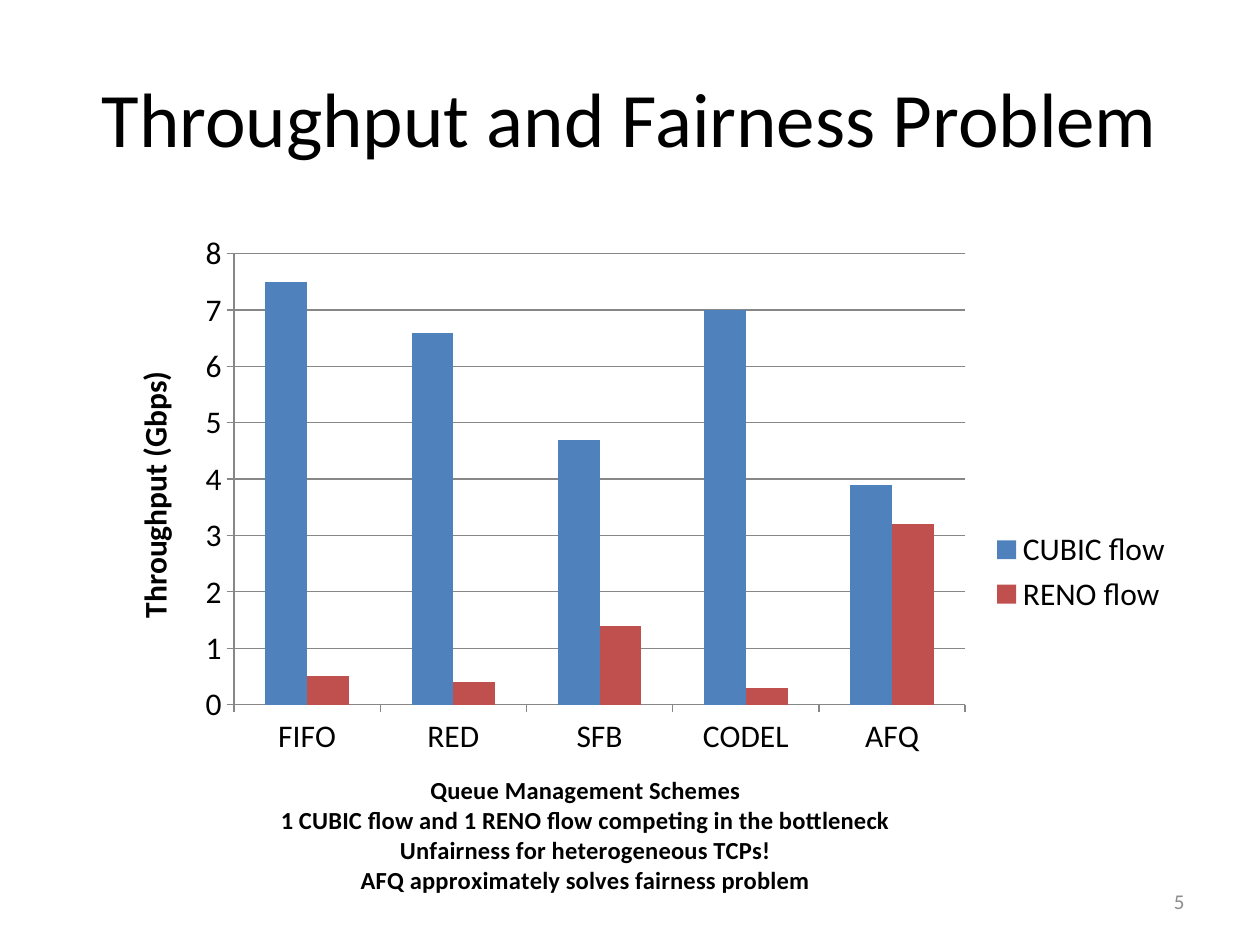
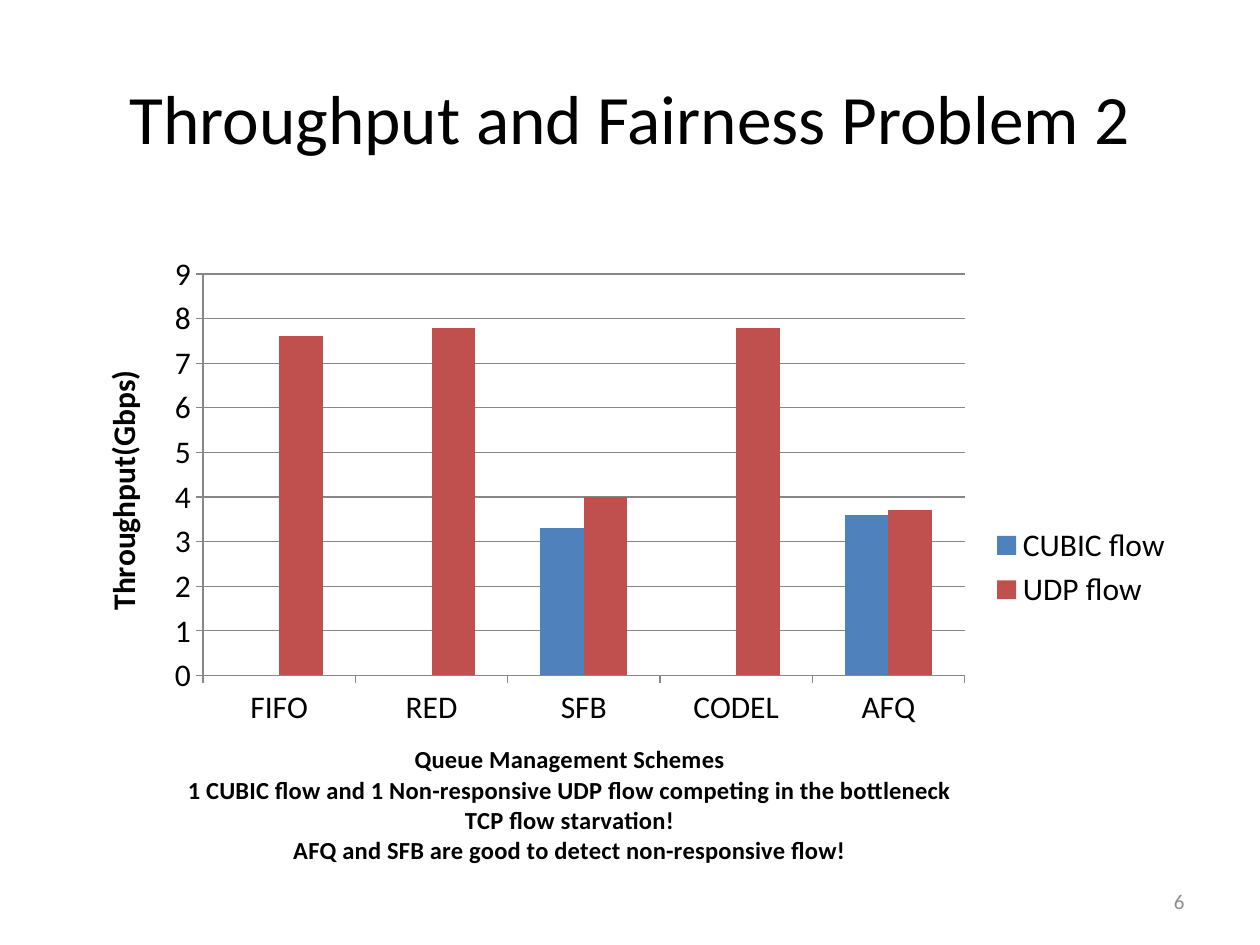
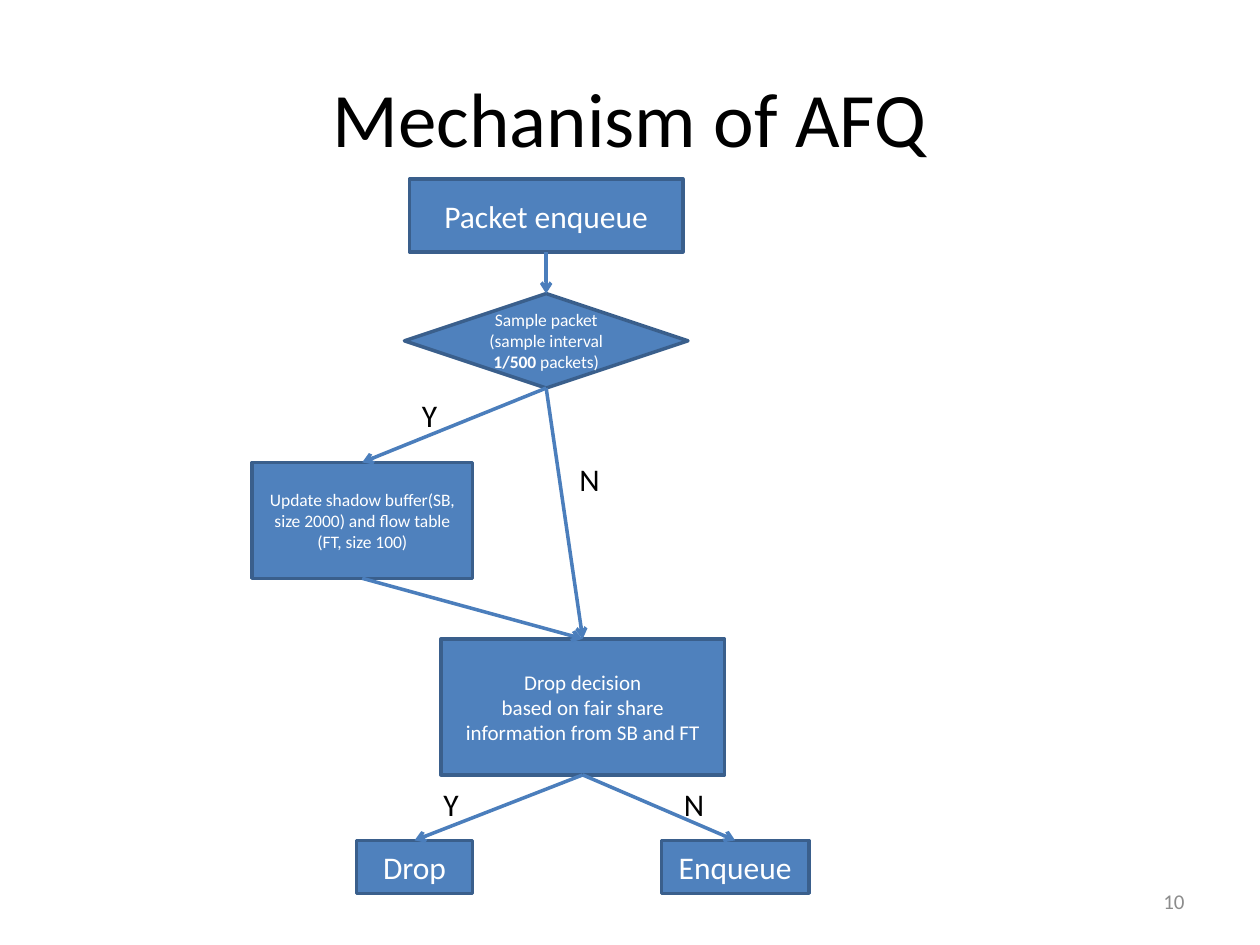
from dataclasses import dataclass
from typing import Any

from lxml import etree
from pptx import Presentation
from pptx import util as u
from pptx.chart import data as cd
from pptx.dml import color as col
from pptx.enum import chart as ec
from pptx.enum import shapes as es
from pptx.enum import text as et
from pptx.oxml import ns


@dataclass(frozen=True)
class Theme:
    face: str = "Calibri"
    ink: str = "000000"
    paper: str = "FFFFFF"
    blue: str = "4F81BD"
    red: str = "C0504D"
    edge: str = "3A5F8C"
    arrow: str = "4B7EBC"
    rule: str = "878787"
    muted: str = "8C8C8C"
    title: float = 44
    body: float = 18
    note: float = 14
    small: float = 12
    tiny: float = 10
    stroke: float = 2
    hair: float = 0.75


Box = tuple[float, float, float, float]
Run = tuple[str, bool]


@dataclass(frozen=True)
class Plot:
    box: Box
    flows: dict[str, list[float]]
    top: int
    label: str
    notes: list[str]


@dataclass(frozen=True)
class Node:
    name: str
    box: Box
    lines: list[list[Run]]
    size: float
    kind: Any = es.MSO_SHAPE.RECTANGLE


@dataclass(frozen=True)
class Mark:
    text: str
    left: float
    top: float


T = Theme()
ALIGN = et.PP_ALIGN
CATS = ["FIFO", "RED", "SFB", "CODEL", "AFQ"]
TOP, BOTTOM = 0, 2


def rgb(code: str) -> col.RGBColor:
    return col.RGBColor.from_string(code)


def place(box: Box) -> list[u.Length]:
    return [u.Inches(n) for n in box]


def style(font: Any, size: float, color: str = T.ink, bold: bool | None = None) -> None:
    font.name = T.face
    font.size = u.Pt(size)
    font.color.rgb = rgb(color)
    font.bold = bold


def stroke(line: Any, color: str, width: float) -> None:
    line.color.rgb = rgb(color)
    line.width = u.Pt(width)


def write(shape: Any, value: str, size: float, color: str, align: Any) -> None:
    frame = shape.text_frame
    frame.word_wrap = True
    frame.text = value
    para = frame.paragraphs[0]
    para.alignment = align
    style(para.font, size, color)


def start(deck: Any, title: str, page: int, size: float = T.title) -> Any:
    slide = deck.slides.add_slide(deck.slide_layouts[5])
    head = slide.shapes.title
    head.left, head.top, head.width, head.height = place((0.5, 0.3, 9, 1.25))
    write(head, title, size, T.ink, ALIGN.CENTER)
    foot = slide.shapes.add_textbox(*place((7.17, 6.95, 2.33, 0.4)))
    write(foot, str(page), T.small, T.muted, ALIGN.RIGHT)
    foot.text_frame.vertical_anchor = et.MSO_ANCHOR.MIDDLE
    return slide


def name_axis(axis: Any, lines: list[str], size: float) -> None:
    frame = axis.axis_title.text_frame
    frame.text = "\n".join(lines)
    for para in frame.paragraphs:
        style(para.font, size, bold=True)


def draw_plot(slide: Any, plot: Plot) -> None:
    data = cd.CategoryChartData()
    data.categories = CATS
    for name, vals in plot.flows.items():
        data.add_series(name, vals)
    chart = slide.shapes.add_chart(
        ec.XL_CHART_TYPE.COLUMN_CLUSTERED, *place(plot.box), data
    ).chart
    style(chart.font, T.body)
    chart.has_title = False
    chart.has_legend = True
    chart.legend.position = ec.XL_LEGEND_POSITION.RIGHT
    chart.legend.include_in_layout = False
    bars = chart.plots[0]
    bars.gap_width = 150
    bars.vary_by_categories = False
    for flow, color in zip(bars.series, (T.blue, T.red)):
        flow.format.fill.solid()
        flow.format.fill.fore_color.rgb = rgb(color)
    for axis in (chart.category_axis, chart.value_axis):
        axis.major_tick_mark = ec.XL_TICK_MARK.OUTSIDE
        stroke(axis.format.line, T.rule, T.hair)
    scale = chart.value_axis
    scale.minimum_scale, scale.maximum_scale, scale.major_unit = 0, plot.top, 1
    scale.has_major_gridlines = True
    stroke(scale.major_gridlines.format.line, T.rule, T.hair)
    name_axis(scale, [plot.label], T.body)
    name_axis(chart.category_axis, plot.notes, T.note)


def draw_node(slide: Any, node: Node) -> Any:
    shape = slide.shapes.add_shape(node.kind, *place(node.box))
    shape.shadow.inherit = False
    shape.fill.solid()
    shape.fill.fore_color.rgb = rgb(T.blue)
    stroke(shape.line, T.edge, T.stroke)
    frame = shape.text_frame
    frame.word_wrap = True
    frame.vertical_anchor = et.MSO_ANCHOR.MIDDLE
    for i, line in enumerate(node.lines):
        para = frame.add_paragraph() if i else frame.paragraphs[0]
        para.alignment = ALIGN.CENTER
        style(para.font, node.size, T.paper)
        for value, bold in line:
            run = para.add_run()
            run.text = value
            if bold:
                run.font.bold = True
    return shape


def join(slide: Any, head: Any, tail: Any) -> None:
    link = slide.shapes.add_connector(es.MSO_CONNECTOR.STRAIGHT, 0, 0, 0, 0)
    link.begin_connect(head, BOTTOM)
    link.end_connect(tail, TOP)
    stroke(link.line, T.arrow, T.stroke)
    etree.SubElement(link.line._get_or_add_ln(), ns.qn("a:tailEnd"), type="arrow")
    etree.SubElement(link._element.spPr, ns.qn("a:effectLst"))


def draw_mark(slide: Any, mark: Mark) -> None:
    box = slide.shapes.add_textbox(*place((mark.left, mark.top, 0.42, 0.4)))
    write(box, mark.text, T.body, T.ink, ALIGN.LEFT)


RENO = Plot(
    (0.83, 1.75, 8.58, 5.58),
    {"CUBIC flow": [7.5, 6.6, 4.7, 7, 3.9], "RENO flow": [0.5, 0.4, 1.4, 0.3, 3.2]},
    8,
    "Throughput (Gbps)",
    [
        "Queue Management Schemes",
        "1 CUBIC flow and 1 RENO flow competing in the bottleneck",
        "Unfairness for heterogeneous TCPs!",
        "AFQ approximately solves fairness problem",
    ],
)
UDP = Plot(
    (0.58, 1.92, 8.83, 5.17),
    {"CUBIC flow": [0, 0, 3.3, 0, 3.6], "UDP flow": [7.6, 7.8, 4, 7.8, 3.7]},
    9,
    "Throughput(Gbps)",
    [
        "Queue Management Schemes",
        "1 CUBIC flow and 1 Non-responsive UDP flow competing in the bottleneck",
        "TCP flow starvation!",
        "AFQ and SFB are good to detect non-responsive flow!",
    ],
)
NODES = [
    Node("packet", (3.25, 1.42, 2.17, 0.58), [[("Packet enqueue", False)]], T.body),
    Node(
        "sample",
        (3.21, 2.33, 2.25, 0.75),
        [
            [("Sample packet", False)],
            [("(sample interval ", False), ("1/500", True), (" packets)", False)],
        ],
        T.tiny,
        es.MSO_SHAPE.DIAMOND,
    ),
    Node(
        "update",
        (2, 3.67, 1.75, 0.92),
        [[("Update shadow buffer(SB, size 2000) and flow table (FT, size 100)", False)]],
        T.tiny,
    ),
    Node(
        "decide",
        (3.5, 5.07, 2.25, 1.08),
        [
            [("Drop decision", False)],
            [("based on fair share information from SB and FT", False)],
        ],
        T.small,
    ),
    Node("drop", (2.83, 6.67, 0.92, 0.42), [[("Drop", False)]], T.body),
    Node("enqueue", (5.25, 6.67, 1.17, 0.42), [[("Enqueue", False)]], T.body),
]
LINKS = [
    ("packet", "sample"),
    ("sample", "update"),
    ("sample", "decide"),
    ("update", "decide"),
    ("decide", "drop"),
    ("decide", "enqueue"),
]
MARKS = [
    Mark("Y", 3.25, 3.09),
    Mark("N", 4.5, 3.6),
    Mark("Y", 3.42, 6.18),
    Mark("N", 5.33, 6.18),
]


def main() -> None:
    deck = Presentation()
    deck.slide_width, deck.slide_height = u.Inches(10), u.Inches(7.5)
    draw_plot(start(deck, "Throughput and Fairness Problem", 5), RENO)
    draw_plot(start(deck, "Throughput and Fairness Problem 2", 6, 39.6), UDP)
    slide = start(deck, "Mechanism of AFQ", 10)
    drawn = {node.name: draw_node(slide, node) for node in NODES}
    for head, tail in LINKS:
        join(slide, drawn[head], drawn[tail])
    for mark in MARKS:
        draw_mark(slide, mark)
    deck.save("out.pptx")


main()
